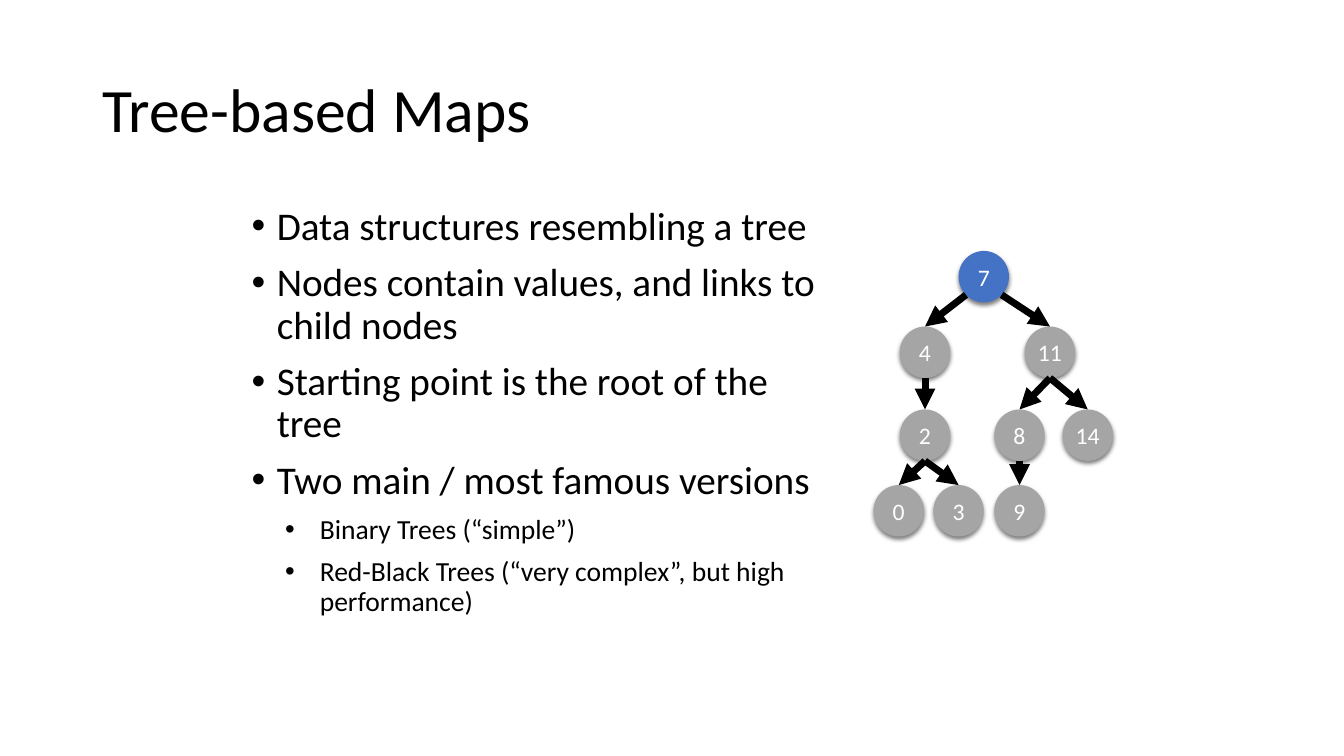
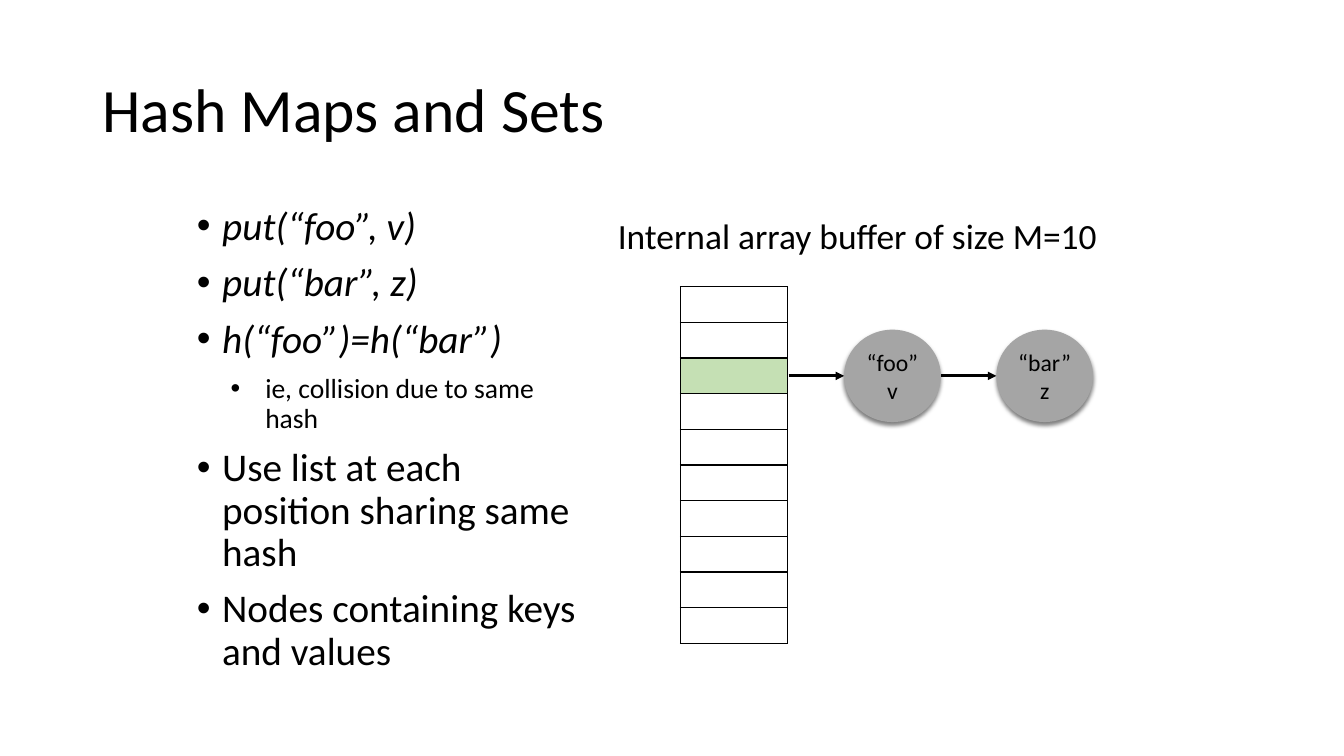
import math
from lxml import etree
from pptx import Presentation
from pptx.dml.color import RGBColor
from pptx.enum.shapes import MSO_CONNECTOR, MSO_SHAPE
from pptx.enum.text import MSO_ANCHOR, MSO_AUTO_SIZE, PP_ALIGN
from pptx.oxml.ns import qn
from pptx.util import Emu, Pt

STRAIGHT = MSO_CONNECTOR.STRAIGHT
OVAL = MSO_SHAPE.OVAL
TOP, MIDDLE = MSO_ANCHOR.TOP, MSO_ANCHOR.MIDDLE
NO_FIT = MSO_AUTO_SIZE.NONE
LEFT, CENTER = PP_ALIGN.LEFT, PP_ALIGN.CENTER

FONT = "Calibri"
BLACK, WHITE, GRAY = "000000", "FFFFFF", "A5A5A5"
BLUE, GREEN = "4472C4", "C5E0B4"
TITLE_BOX = (88, 38, 1104, 139)
LEVELS = (
    {"size": 28, "before": 10, "margin": 24, "hanging": 24},
    {"size": 19.7, "before": 9.1, "margin": 65, "hanging": 33},
)
NODE_WIDTH, NODE_HEIGHT = 48, 49
TREE_NODES = {
    "7": (81, 0), "4": (25, 72), "11": (144, 72),
    "2": (25, 151), "8": (115, 151), "14": (180, 151),
    "0": (0, 223), "3": (57, 223), "9": (115, 223),
}
TREE_LINKS = (
    ("7", "4"), ("7", "11"), ("4", "2"), ("11", "8"),
    ("11", "14"), ("2", "0"), ("2", "3"), ("8", "9"),
)


def px(length):
    return Emu(round(length * 9525))


def color(value):
    return RGBColor.from_string(value)


def add_element(parent, tag, **attributes):
    element = etree.SubElement(parent, qn(tag))
    for name, value in attributes.items():
        element.set(name, str(value))
    return element


def place(shape, box):
    shape.left, shape.top, shape.width, shape.height = map(px, box)


def write_text(paragraph, text, size=16.9, ink=BLACK, italic=False, align=CENTER):
    paragraph.alignment = align
    run = paragraph.add_run()
    run.text = text
    run.font.name = FONT
    run.font.size = Pt(size)
    run.font.italic = italic
    run.font.color.rgb = color(ink)


def write_lines(frame, text, **text_format):
    for index, line in enumerate(text.split("\n")):
        paragraph = frame.add_paragraph() if index else frame.paragraphs[0]
        write_text(paragraph, line, **text_format)


def set_frame(frame, anchor=MIDDLE, wrap=True, inset=None):
    frame.auto_size = NO_FIT
    frame.word_wrap = wrap
    frame.vertical_anchor = anchor
    if inset is not None:
        frame.margin_left = frame.margin_right = px(inset)
        frame.margin_top = frame.margin_bottom = px(inset)


def add_bullet(paragraph, text, level=0, italic=False):
    style = LEVELS[level]
    paragraph.level = level
    paragraph.line_spacing = 0.9
    paragraph.space_before = Pt(style["before"])
    write_text(paragraph, text, size=style["size"], italic=italic, align=LEFT)
    properties = paragraph._p.get_or_add_pPr()
    properties.set("marL", str(px(style["margin"])))
    properties.set("indent", str(-px(style["hanging"])))
    add_element(properties, "a:buFont", typeface="Arial")
    add_element(properties, "a:buChar", char="•")


def add_content_slide(presentation, title, body_box, bullets):
    slide = presentation.slides.add_slide(presentation.slide_layouts[1])
    heading, body = slide.shapes.title, slide.placeholders[1]
    place(heading, TITLE_BOX)
    set_frame(heading.text_frame)
    write_lines(heading.text_frame, title, size=44, align=LEFT)
    heading.text_frame.paragraphs[0].line_spacing = 0.9
    place(body, body_box)
    frame = body.text_frame
    set_frame(frame, anchor=TOP)
    for index, bullet in enumerate(bullets):
        paragraph = frame.add_paragraph() if index else frame.paragraphs[0]
        add_bullet(paragraph, **bullet)
    return slide


def add_node(slide, text, box, fill=GRAY, ink=WHITE):
    node = slide.shapes.add_shape(OVAL, *map(px, box))
    node.fill.solid()
    node.fill.fore_color.rgb = color(fill)
    node.line.fill.background()
    node.shadow.inherit = False
    effects = node.element.spPr.find(qn("a:effectLst"))
    shadow = add_element(effects, "a:outerShdw", blurRad=Pt(3), dist=Pt(2),
                         dir=5400000, rotWithShape=0)
    shade = add_element(shadow, "a:srgbClr", val=BLACK)
    add_element(shade, "a:alpha", val=50000)
    set_frame(node.text_frame, inset=4)
    write_lines(node.text_frame, text, ink=ink)


def add_arrow(slide, start, end, weight):
    arrow = slide.shapes.add_connector(STRAIGHT, *map(px, (*start, *end)))
    arrow.line.color.rgb = color(BLACK)
    arrow.line.width = Pt(weight)
    properties = arrow.element.spPr
    add_element(properties.find(qn("a:ln")), "a:tailEnd", type="triangle")
    add_element(properties, "a:effectLst")


def draw_tree(slide, left, top):
    for label, (x, y) in TREE_NODES.items():
        add_node(slide, label, (left + x, top + y, NODE_WIDTH, NODE_HEIGHT),
                 fill=BLUE if label == "7" else GRAY)
    for parent, child in TREE_LINKS:
        parent_x, parent_y = TREE_NODES[parent]
        child_x, child_y = TREE_NODES[child]
        angle = math.copysign(math.pi / 4, child_x - parent_x) if parent == "7" else 0
        start = (left + parent_x + NODE_WIDTH / 2 * (1 + math.sin(angle)),
                 top + parent_y + NODE_HEIGHT / 2 * (1 + math.cos(angle)))
        end = (left + child_x + NODE_WIDTH / 2, top + child_y)
        add_arrow(slide, start, end, 5)


def set_borders(cell):
    properties = cell._tc.get_or_add_tcPr()
    for index, side in enumerate(("a:lnL", "a:lnR", "a:lnT", "a:lnB")):
        border = add_element(properties, side, w=Pt(1))
        add_element(add_element(border, "a:solidFill"), "a:srgbClr", val=BLACK)
        properties.insert(index, border)


def draw_buffer(slide, left, top, width, row_height, rows, used_row):
    table = slide.shapes.add_table(
        rows, 1, px(left), px(top), px(width), px(row_height * rows)).table
    table.first_row = table.horz_banding = False
    for index in range(rows):
        cell = table.cell(index, 0)
        cell.margin_left = cell.margin_right = cell.margin_top = cell.margin_bottom = 0
        if index == used_row:
            cell.fill.solid()
            cell.fill.fore_color.rgb = color(GREEN)
        else:
            cell.fill.background()
        set_borders(cell)


def draw_chain(slide, left, middle, entries, gap=53, width=92, height=88):
    for index, entry in enumerate(entries):
        start = left + index * (gap + width)
        add_node(slide, entry, (start + gap, middle - height / 2, width, height), ink=BLACK)
        add_arrow(slide, (start, middle), (start + gap, middle), 2)


def draw_hash_map(slide, left, top):
    label = slide.shapes.add_textbox(*map(px, (left, top, 469, 48)))
    set_frame(label.text_frame, wrap=False, inset=4)
    write_lines(label.text_frame, "Internal array buffer of size M=10", size=25.3)
    buffer_left, buffer_top, width, row_height, used_row = left + 66, top + 73, 102, 34, 2
    draw_buffer(slide, buffer_left, buffer_top, width, row_height, 10, used_row)
    draw_chain(slide, buffer_left + width + 1, buffer_top + row_height * (used_row + 0.5),
               ("“foo”\nv", "“bar”\nz"))


def main():
    presentation = Presentation()
    presentation.slide_width, presentation.slide_height = px(1280), px(720)
    trees = add_content_slide(presentation, "Tree-based Maps", (230, 192, 563, 464), (
        {"text": "Data structures resembling a tree"},
        {"text": "Nodes contain values, and links to child nodes"},
        {"text": "Starting point is the root of the tree"},
        {"text": "Two main / most famous versions"},
        {"text": "Binary Trees (“simple”)", "level": 1},
        {"text": "Red-Black Trees (“very complex”, but high performance)", "level": 1},
    ))
    draw_tree(trees, 832, 239)
    hashes = add_content_slide(presentation, "Hash Maps and Sets", (178, 192, 384, 498), (
        {"text": "put(“foo”, v)", "italic": True},
        {"text": "put(“bar”, z)", "italic": True},
        {"text": "h(“foo”)=h(“bar”)", "italic": True},
        {"text": "ie, collision due to same hash", "level": 1},
        {"text": "Use list at each position sharing same hash"},
        {"text": "Nodes containing keys and values"},
    ))
    draw_hash_map(hashes, 582, 200)
    presentation.save("out.pptx")


if __name__ == "__main__":
    main()
